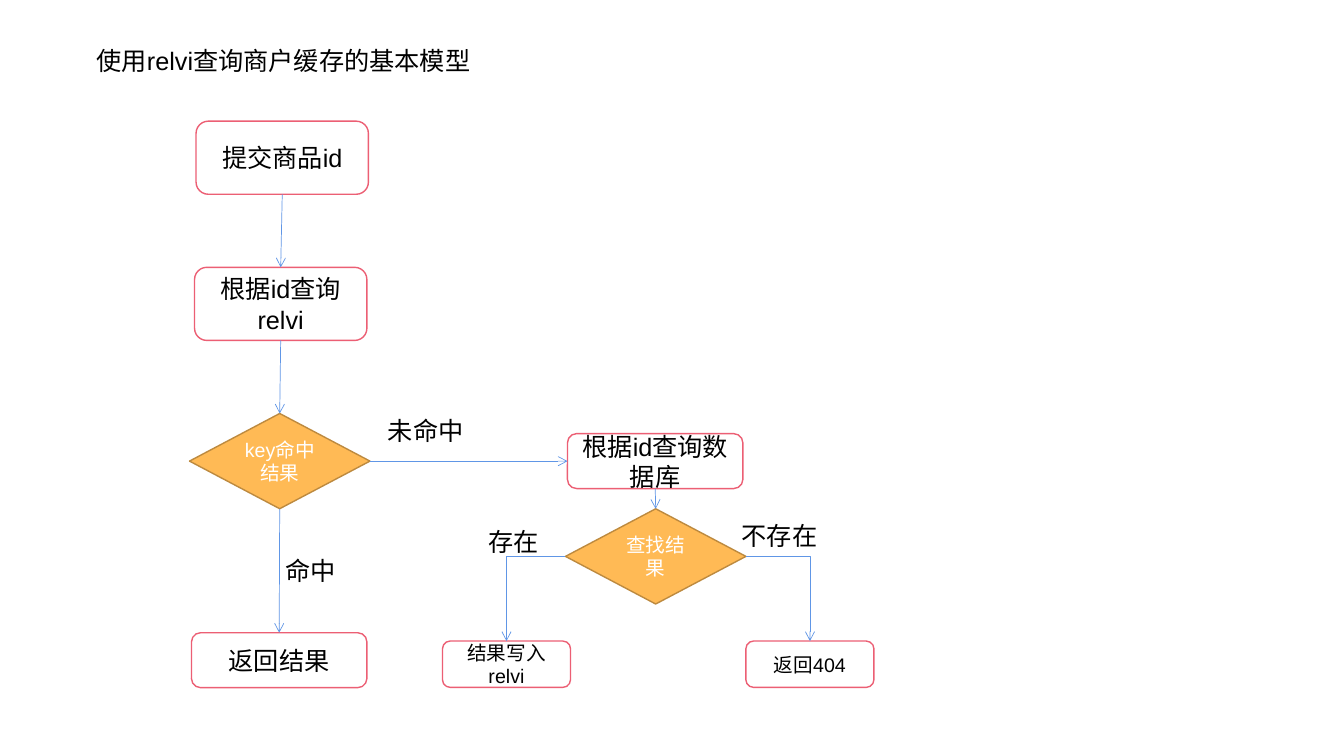
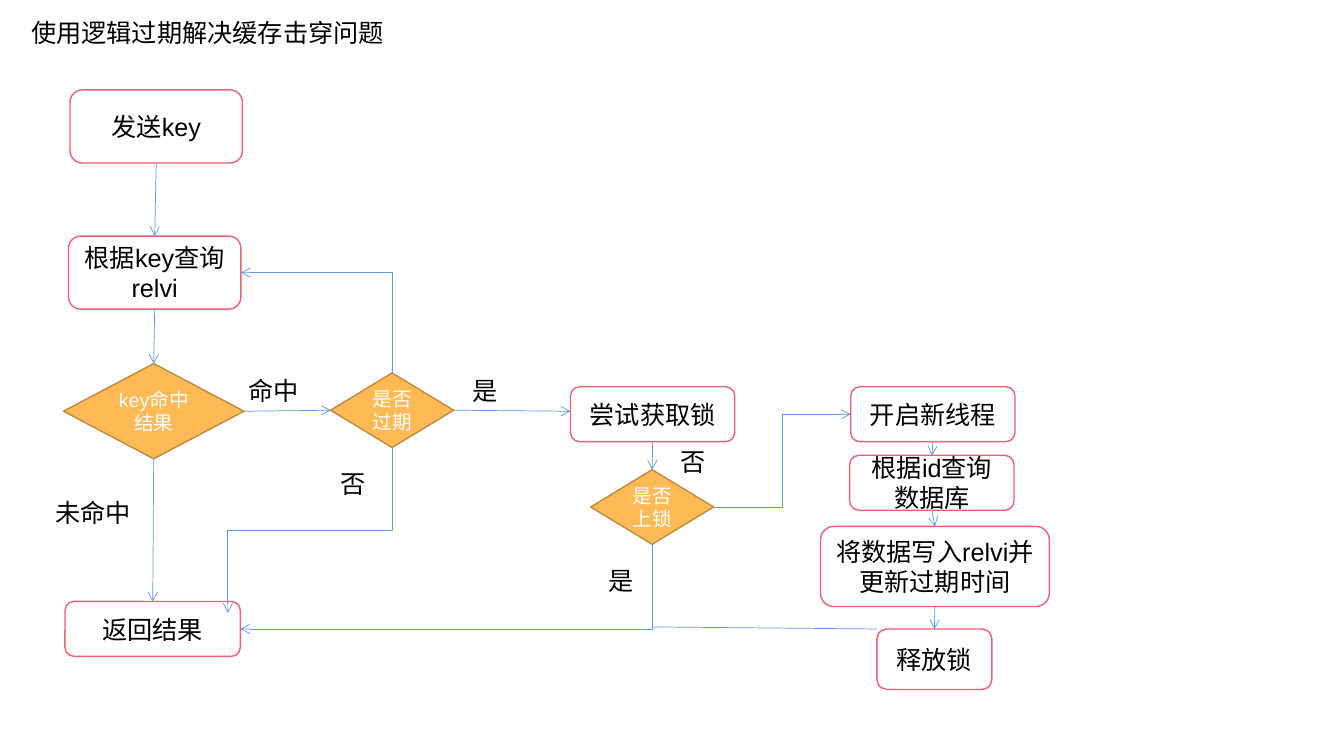
from dataclasses import dataclass, field
from enum import IntEnum

from lxml.etree import SubElement
from pptx import Presentation
from pptx.dml.color import RGBColor as Color
from pptx.enum.shapes import MSO_CONNECTOR as ConnectorKind, MSO_SHAPE as Preset
from pptx.enum.text import MSO_ANCHOR as Anchor, PP_ALIGN as Align
from pptx.oxml.ns import qn
from pptx.util import Emu, Inches, Pt


@dataclass(frozen=True)
class Theme:
    font: str = "Arial"
    normal: int = 18
    small: int = 14
    ink: Color = Color(0x00, 0x00, 0x00)
    paper: Color = Color(0xFF, 0xFF, 0xFF)
    step_line: Color = Color(0xEC, 0x5F, 0x74)
    choice_fill: Color = Color(0xFF, 0xBA, 0x55)
    choice_line: Color = Color(0xBD, 0x8A, 0x3F)
    arrow: Color = Color(0x60, 0x96, 0xE6)
    outline: float = 1
    arrow_width: float = 0.5


THEME = Theme()
CELL = Inches(0.1)
COLUMNS, ROWS = 133.33, 75
LABEL_ROWS = 4


class Side(IntEnum):
    TOP = 0
    LEFT = 1
    BOTTOM = 2
    RIGHT = 3


Point = tuple[float, float]


@dataclass(frozen=True)
class NodeStyle:
    columns: float
    rows: float
    choice: bool = False
    size: int = THEME.normal


STEP = NodeStyle(17.1, 7.25)
RESULT = NodeStyle(17.4, 5.45)
OUTCOME = NodeStyle(12.7, 4.6, size=THEME.small)
TASK = NodeStyle(16.3, 5.45)
WIDE_TASK = NodeStyle(22.7, 7.95)
SHORT_TASK = NodeStyle(11.4, 6)
CHOICE = NodeStyle(17.9, 9.45, True, THEME.small)
SMALL_CHOICE = NodeStyle(12.2, 7.4, True, THEME.small)


@dataclass(frozen=True)
class Node:
    text: str
    column: float
    row: float
    style: NodeStyle

    def site(self, side: Side) -> Point:
        across = {Side.LEFT: -0.5, Side.RIGHT: 0.5}.get(side, 0)
        down = {Side.TOP: -0.5, Side.BOTTOM: 0.5}.get(side, 0)
        return (self.column + across * self.style.columns,
                self.row + down * self.style.rows)


@dataclass(frozen=True)
class Label:
    text: str
    column: float
    row: float
    columns: float


@dataclass(frozen=True)
class End:
    name: str
    side: Side


@dataclass(frozen=True)
class Link:
    start: End | Point
    finish: End | Point
    bends: int = 0
    arrow: bool = True


@dataclass(frozen=True)
class Flow:
    title: Label
    nodes: dict[str, Node]
    links: list[Link]
    labels: list[Label] = field(default_factory=list)


def down(upper: str, lower: str) -> Link:
    return Link(End(upper, Side.BOTTOM), End(lower, Side.TOP))


def across(left: str, right: str, bends: int = 0) -> Link:
    return Link(End(left, Side.RIGHT), End(right, Side.LEFT), bends)


def cells(*counts: float) -> list[Emu]:
    return [Emu(round(count * CELL)) for count in counts]


def write(frame, text: str, size: int, color: Color, align: Align) -> None:
    frame.word_wrap = True
    para = frame.paragraphs[0]
    para.alignment = align
    span = para.add_run()
    span.text = text
    span.font.name = THEME.font
    span.font.size = Pt(size)
    span.font.color.rgb = color


def draw_label(page, label: Label) -> None:
    box = page.shapes.add_textbox(
        *cells(label.column, label.row, label.columns, LABEL_ROWS))
    write(box.text_frame, label.text, THEME.normal, THEME.ink, Align.LEFT)


def draw_node(page, node: Node):
    style = node.style
    preset = (Preset.FLOWCHART_DECISION if style.choice
              else Preset.FLOWCHART_ALTERNATE_PROCESS)
    box = page.shapes.add_shape(preset, *cells(
        node.column - style.columns / 2, node.row - style.rows / 2,
        style.columns, style.rows))
    box.shadow.inherit = False
    box.fill.solid()
    box.fill.fore_color.rgb = THEME.choice_fill if style.choice else THEME.paper
    box.line.color.rgb = THEME.choice_line if style.choice else THEME.step_line
    box.line.width = Pt(THEME.outline)
    box.text_frame.vertical_anchor = Anchor.MIDDLE
    ink = THEME.paper if style.choice else THEME.ink
    write(box.text_frame, node.text, style.size, ink, Align.CENTER)
    return box


def turned_ends(start: Point, finish: Point) -> tuple[Point, Point]:
    middle_x, middle_y = ((a + b) / 2 for a, b in zip(start, finish))
    run, drop = finish[0] - start[0], finish[1] - start[1]
    half_width = abs(drop) / 2
    half_height = abs(run) / 2 * (-1 if run * drop > 0 else 1)
    return ((middle_x - half_width, middle_y - half_height),
            (middle_x + half_width, middle_y + half_height))


def draw_link(page, link: Link, nodes: dict[str, Node], boxes: dict) -> None:
    start, finish = (nodes[end.name].site(end.side) if isinstance(end, End) else end
                     for end in (link.start, link.finish))
    upright = (link.bends > 0 and isinstance(link.start, End)
               and link.start.side in (Side.TOP, Side.BOTTOM))
    begin, end = turned_ends(start, finish) if upright else (start, finish)
    kind = ConnectorKind.ELBOW if link.bends else ConnectorKind.STRAIGHT
    line = page.shapes.add_connector(kind, *cells(*begin, *end))
    if isinstance(link.start, End):
        line.begin_connect(boxes[link.start.name], int(link.start.side))
    if isinstance(link.finish, End):
        line.end_connect(boxes[link.finish.name], int(link.finish.side))
    line.begin_x, line.begin_y, line.end_x, line.end_y = cells(*begin, *end)
    line.line.color.rgb = THEME.arrow
    line.line.width = Pt(THEME.arrow_width)
    properties = line._element.spPr
    if upright:
        degrees = 90 if finish[1] > start[1] else 270
        properties.find(qn("a:xfrm")).set("rot", str(degrees * 60000))
    if link.bends == 1:
        properties.find(qn("a:prstGeom")).set("prst", "bentConnector2")
    if link.arrow:
        SubElement(properties.find(qn("a:ln")), qn("a:tailEnd"), type="arrow")
    SubElement(properties, qn("a:effectLst"))


def draw_flow(deck, flow: Flow) -> None:
    page = deck.slides.add_slide(deck.slide_layouts[6])
    draw_label(page, flow.title)
    boxes = {name: draw_node(page, node) for name, node in flow.nodes.items()}
    for link in flow.links:
        draw_link(page, link, flow.nodes, boxes)
    for label in flow.labels:
        draw_label(page, label)


CACHE_QUERY = Flow(
    title=Label("使用relvi查询商户缓存的基本模型", 8.6, 4, 71.5),
    nodes={
        "submit": Node("提交商品id", 28, 15.65, STEP),
        "query": Node("根据id查询relvi", 27.85, 30.15, STEP),
        "hit": Node("key命中结果", 27.75, 45.75, CHOICE),
        "result": Node("返回结果", 27.7, 65.5, RESULT),
        "database": Node("根据id查询数据库", 65, 45.75, RESULT),
        "found": Node("查找结果", 65.05, 55.2, CHOICE),
        "save": Node("结果写入relvi", 50.25, 65.9, OUTCOME),
        "missing": Node("返回404", 80.35, 65.9, OUTCOME),
    },
    links=[
        down("submit", "query"),
        down("query", "hit"),
        down("hit", "result"),
        across("hit", "database"),
        down("database", "found"),
        Link(End("found", Side.LEFT), End("save", Side.TOP), bends=1),
        Link(End("found", Side.RIGHT), End("missing", Side.TOP), bends=1),
    ],
    labels=[
        Label("存在", 47.5, 51.7, 9.1),
        Label("不存在", 72.6, 51.1, 12),
        Label("未命中", 37.5, 40.7, 11.6),
        Label("命中", 27.3, 54.6, 11.6),
    ],
)

LOGICAL_EXPIRY = Flow(
    title=Label("使用逻辑过期解决缓存击穿问题", 2.1, 1.2, 42.6),
    nodes={
        "send": Node("发送key", 15.5, 12.55, STEP),
        "query": Node("根据key查询relvi", 15.35, 27.05, STEP),
        "hit": Node("key命中结果", 15.25, 40.8, CHOICE),
        "result": Node("返回结果", 15.15, 62.4, RESULT),
        "release": Node("释放锁", 92.7, 65.4, SHORT_TASK),
        "expired": Node("是否过期", 38.9, 40.7, SMALL_CHOICE),
        "lock": Node("尝试获取锁", 64.75, 41.1, TASK),
        "locked": Node("是否上锁", 64.7, 50.3, SMALL_CHOICE),
        "thread": Node("开启新线程", 92.55, 41.1, TASK),
        "save": Node("将数据写入relvi并更新过期时间", 92.75, 56.2, WIDE_TASK),
        "database": Node("根据id查询数据库", 92.45, 47.9, TASK),
    },
    links=[
        down("send", "query"),
        down("query", "hit"),
        down("hit", "result"),
        across("hit", "expired"),
        Link(End("expired", Side.RIGHT), (56.6, 40.8)),
        down("lock", "locked"),
        down("thread", "database"),
        down("database", "save"),
        down("save", "release"),
        across("locked", "thread", bends=2),
        Link(End("expired", Side.TOP), End("query", Side.RIGHT), bends=1),
        Link(End("expired", Side.BOTTOM), (22.6, 60.8), bends=2),
        Link(End("locked", Side.BOTTOM), End("result", Side.RIGHT), bends=1),
        Link((87, 62.4), (64.8, 62.2), arrow=False),
    ],
    labels=[
        Label("命中", 23.7, 36.7, 11.6),
        Label("未命中", 4.5, 48.8, 10.6),
        Label("否", 32.8, 46, 5.6),
        Label("是", 45.9, 36.7, 9.1),
        Label("是", 59.4, 55.6, 7.1),
        Label("否", 66.5, 43.8, 6.4),
    ],
)


def main() -> None:
    deck = Presentation()
    deck.slide_width, deck.slide_height = cells(COLUMNS, ROWS)
    for flow in (CACHE_QUERY, LOGICAL_EXPIRY):
        draw_flow(deck, flow)
    deck.save("out.pptx")


if __name__ == "__main__":
    main()
